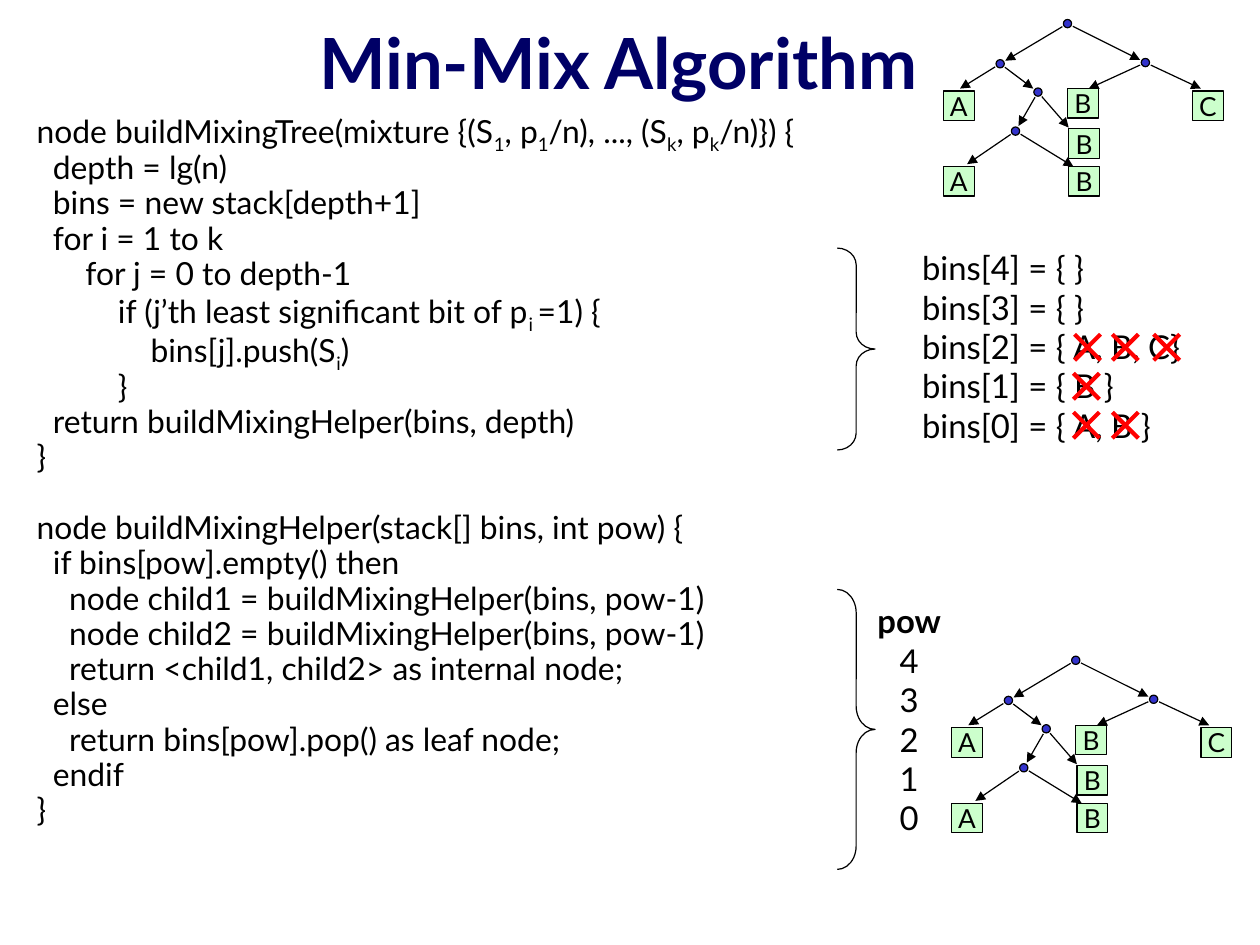
"""Build the Min-Mix Algorithm slide: pseudocode, bin contents and mixing trees."""
from math import hypot

from lxml import etree
from pptx import Presentation, util as u
from pptx.dml.color import RGBColor
from pptx.enum import shapes, text
from pptx.oxml.ns import qn

WIDTH, HEIGHT = 10.67, 8
FONT, BLACK, NAVY, BLUE, GREEN, RED = "Lato", "000000", "000066", "3333CC", "CCFFCC", "FF0000"

TITLE = "Min-Mix Algorithm"
# Text between tildes is subscript.
FUNCTIONS = [
    [
        "node buildMixingTree(mixture {(S~1~, p~1~/n), ..., (S~k~, p~k~/n)}) {",
        "  depth = lg(n)",
        "  bins = new stack[depth+1]",
        "  for i = 1 to k",
        "      for j = 0 to depth-1",
        "          if (j’th least significant bit of p~i ~=1) {",
        "              bins[j].push(S~i~)",
        "          }",
        "  return buildMixingHelper(bins, depth)",
        "}",
    ],
    [
        "node buildMixingHelper(stack[] bins, int pow) {",
        "  if bins[pow].empty() then",
        "    node child1 = buildMixingHelper(bins, pow-1)",
        "    node child2 = buildMixingHelper(bins, pow-1)",
        "    return <child1, child2> as internal node;",
        "  else",
        "    return bins[pow].pop() as leaf node;",
        "  endif",
        "}",
    ],
]
BINS = ["bins[4] = { }", "bins[3] = { }", "bins[2] = { A, B, C}", "bins[1] = { B }", "bins[0] = { A, B }"]
POWERS = ["pow", "4", "3", "2", "1", "0"]
USED = [[9.21, 9.53, 9.88], [9.2], [9.2, 9.53]]
BRACES = [(2.1, 1.71), (4.99, 2.37)]

TREES = [(7.99, 0.16), (8.06, 5.55)]
NODES = {"root": (1.05, 0.04), "left": (0.48, 0.38), "right": (1.71, 0.37),
         "mid": (0.8, 0.62), "low": (0.61, 0.95)}
LEAVES = [("A", 0, 0.61), ("A", 0, 1.25), ("B", 1.05, 0.59),
          ("C", 2.11, 0.61), ("B", 1.06, 0.93), ("B", 1.06, 1.25)]
BRANCHES = [("root", "left"), ("root", "right"), ("left", "mid"), ("mid", "low")]
LEAF_BRANCHES = [("left", (0.14, 0.59)), ("low", (0.2, 1.23)), ("right", (1.23, 0.59)),
                 ("right", (2.18, 0.59)), ("mid", (1.06, 0.92)), ("low", (1.1, 1.25))]
DOT, LEAF_W, LEAF_H, GAP = 0.07, 0.26, 0.25, 0.05


def color(value):
    return RGBColor.from_string(value)


def write(paragraph, content, size=20, fill=BLACK, bold=False, align=None, before=0, spacing=None):
    """Fill one paragraph, with subscripts between tildes."""
    paragraph.alignment = align
    paragraph.space_before = u.Pt(before)
    if spacing:
        paragraph.line_spacing = spacing
    for index, part in enumerate(content.split("~")):
        if not part:
            continue
        run = paragraph.add_run()
        run.text = part
        run.font.name, run.font.size, run.font.bold = FONT, u.Pt(size), bold
        run.font.color.rgb = color(fill)
        if index % 2:
            run.font._element.set("baseline", "-25000")


def place(shape, left, top, width, height):
    shape.left, shape.top, shape.width, shape.height = map(u.Inches, (left, top, width, height))


def set_frame(frame, side, anchor, wrap=True):
    frame.margin_left = frame.margin_right = u.Inches(side)
    frame.margin_top = frame.margin_bottom = u.Inches(0.05)
    frame.vertical_anchor, frame.word_wrap = anchor, wrap
    frame.auto_size = text.MSO_AUTO_SIZE.NONE


def next_paragraph(frame, index):
    return frame.add_paragraph() if index else frame.paragraphs[0]


def add_shape(slide, kind, left, top, width, height, fill=None):
    shape = slide.shapes.add_shape(kind, *map(u.Inches, (left, top, width, height)))
    shape.shadow.inherit = False
    if fill:
        shape.fill.solid()
        shape.fill.fore_color.rgb = color(fill)
    else:
        shape.fill.background()
    shape.line.color.rgb, shape.line.width = color(BLACK), u.Pt(0.75)
    return shape


def add_line(slide, start, end, stroke=BLACK, width=0.75, arrow=False):
    line = slide.shapes.add_connector(shapes.MSO_CONNECTOR.STRAIGHT, *map(u.Inches, (*start, *end)))
    line.line.color.rgb, line.line.width = color(stroke), u.Pt(width)
    if arrow:
        etree.SubElement(line.line._get_or_add_ln(), qn("a:tailEnd"), type="triangle")
    etree.SubElement(line._element.spPr, qn("a:effectLst"))


def add_lines(slide, lines, left, top, width, height, wrap=True, align=None, heading=None):
    frame = slide.shapes.add_textbox(*map(u.Inches, (left, top, width, height))).text_frame
    set_frame(frame, 0.1, text.MSO_ANCHOR.TOP, wrap)
    for index, content in enumerate(lines):
        write(next_paragraph(frame, index), content, align=align, bold=content == heading)


def toward(start, end, distance):
    """Return the point a distance from start on the way to end."""
    dx, dy = end[0] - start[0], end[1] - start[1]
    share = distance / hypot(dx, dy)
    return start[0] + dx * share, start[1] + dy * share


def add_tree(slide, left, top):
    for label, x, y in LEAVES:
        leaf = add_shape(slide, shapes.MSO_SHAPE.RECTANGLE, left + x, top + y, LEAF_W, LEAF_H, GREEN)
        set_frame(leaf.text_frame, 0.1, text.MSO_ANCHOR.MIDDLE, wrap=False)
        write(leaf.text_frame.paragraphs[0], label, size=16, align=text.PP_ALIGN.CENTER)
    nodes = {name: (left + x, top + y) for name, (x, y) in NODES.items()}
    for x, y in nodes.values():
        add_shape(slide, shapes.MSO_SHAPE.OVAL, x - DOT / 2, y - DOT / 2, DOT, DOT, BLUE)
    links = [(nodes[a], toward(nodes[b], nodes[a], GAP)) for a, b in BRANCHES]
    links += [(nodes[a], (left + x, top + y)) for a, (x, y) in LEAF_BRANCHES]
    for start, end in links:
        add_line(slide, toward(start, end, GAP), end, arrow=True)


def add_cross(slide, x, y, half=0.11):
    for slope in (1, -1):
        add_line(slide, (x - half, y - half * slope), (x + half, y + half * slope), RED, 2.5)


def add_code(body):
    place(body, 0.2, 0.96, 9.96, 6.12)
    frame = body.text_frame
    set_frame(frame, 0.11, text.MSO_ANCHOR.TOP)
    for block, lines in enumerate(FUNCTIONS):
        for row, content in enumerate(lines):
            first = block == row == 0
            paragraph = next_paragraph(frame, 0 if first else 1)
            before = 0 if first else 5.2 if row else 26.7
            write(paragraph, content, size=19.4, before=before, spacing=0.7)
            properties = paragraph._p.get_or_add_pPr()
            properties.set("marL", str(u.Inches(0.4)))
            properties.set("indent", str(u.Inches(-0.4)))
            etree.SubElement(properties, qn("a:buNone"))


def main():
    presentation = Presentation()
    presentation.slide_width, presentation.slide_height = u.Inches(WIDTH), u.Inches(HEIGHT)
    slide = presentation.slides.add_slide(presentation.slide_layouts[1])
    title, body = slide.placeholders
    place(title, 0, -0.15, 10.47, 1.33)
    set_frame(title.text_frame, 0.11, text.MSO_ANCHOR.MIDDLE)
    write(title.text_frame.paragraphs[0], TITLE, size=43, fill=NAVY, bold=True, align=text.PP_ALIGN.CENTER)
    add_code(body)
    for top, height in BRACES:
        brace = add_shape(slide, shapes.MSO_SHAPE.RIGHT_BRACE, 7.09, top, 0.32, height)
        brace.adjustments[0] = height / 12 / 0.32
    add_lines(slide, BINS, 7.71, 2.05, 2.55, 1.77)
    add_lines(slide, POWERS, 7.31, 5.04, 0.78, 2.1, wrap=False, align=text.PP_ALIGN.CENTER, heading="pow")
    for left, top in TREES:
        add_tree(slide, left, top)
    for row, columns in enumerate(USED):
        for x in columns:
            add_cross(slide, x, 2.94 + row * 0.33)
    presentation.save("out.pptx")


if __name__ == "__main__":
    main()
